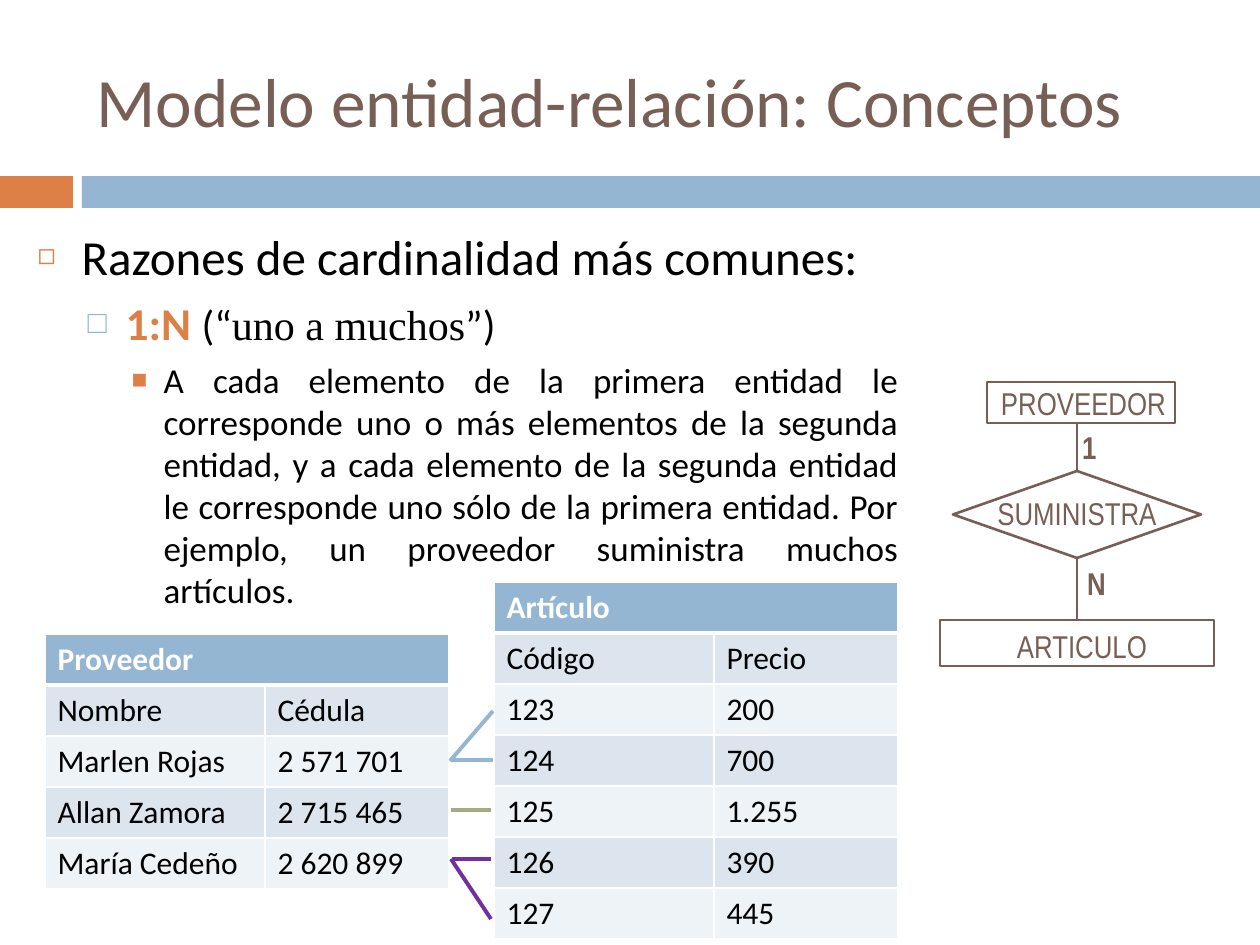
"""Build the slide on 1:N cardinality: definition, sample tables and ER diagram."""
from lxml import etree
from pptx import Presentation, util as u
from pptx.dml.color import RGBColor
from pptx.enum import shapes, text
from pptx.oxml.ns import qn

ORANGE = RGBColor(0xDD, 0x80, 0x47)
BLUE = RGBColor(0x94, 0xB6, 0xD2)
GREEN = RGBColor(0xA5, 0xAB, 0x81)
PURPLE = RGBColor(0x70, 0x30, 0xA0)
BROWN = RGBColor(0x77, 0x5F, 0x55)
BLACK = RGBColor(0, 0, 0)
WHITE = RGBColor(0xFF, 0xFF, 0xFF)
BANDS = [RGBColor(0xDC, 0xE5, 0xEE), RGBColor(0xEE, 0xF3, 0xF7)]

EMU_PER_PX = 914400 / 126
BODY_FONT, SERIF, DIAGRAM_FONT = "Calibri", "Times New Roman", "Arial Narrow"
COLS, ROW_H = (220, 184), 51

TITLE = "Modelo entidad-relación: Conceptos"
BARS = [((0, 176, 73, 32), ORANGE), ((82, 176, 1178, 32), BLUE)]

# margin, hanging indent, space before, bullet, bullet colour, bullet %, runs
BODY = [
    (44, 44, 0, "◻", ORANGE, 60,
     [("Razones de cardinalidad más comunes:", 28, BODY_FONT, BLACK, False)]),
    (88, 38, 5.5, "□", BLUE, 70,
     [("1:N ", 26, BODY_FONT, ORANGE, True),
      ("(“", 24, BODY_FONT, BLACK, False),
      ("uno a muchos", 24, SERIF, BLACK, False),
      ("”)", 24, BODY_FONT, BLACK, False)]),
    (126, 32, 5, "■", ORANGE, 75,
     [("A cada elemento de la primera entidad le corresponde uno o más "
       "elementos de la segunda entidad, y a cada elemento de la segunda "
       "entidad le corresponde uno sólo de la primera entidad. Por ejemplo, "
       "un proveedor suministra muchos artículos.", 20, BODY_FONT, BLACK, False)]),
]

TABLES = [
    (45, 634, "Proveedor", [
        ("Nombre", "Cédula"), ("Marlen Rojas", "2 571 701"),
        ("Allan Zamora", "2 715 465"), ("María Cedeño", "2 620 899")]),
    (494, 582, "Artículo", [
        ("Código", "Precio"), ("123", "200"), ("124", "700"),
        ("125", "1.255"), ("126", "390"), ("127", "445")]),
]

ROW_LINKS = [
    ((452, 760, 493, 760), BLUE), ((451, 810, 491, 810), GREEN),
    ((451, 859, 491, 919), PURPLE), ((450, 761, 493, 711), BLUE),
    ((452, 859, 491, 859), PURPLE),
]

ENTITIES = [
    ("PROVEEDOR", (987, 382, 188, 41), (10, 1, 5, 1)),
    ("ARTICULO", (940, 620, 274, 46), (10, 6, 0, 1)),
]
ER_LINKS = [(1077, 548, 1077, 621), (1077, 475, 1077, 422)]
DIAMOND = (953, 471, 248, 87)
LABELS = [
    ("1", (1082, 422, 58, 45)),
    ("N", (1087, 558, 58, 47)),
]
RELATION = ("SUMINISTRA", (984, 488, 186, 50))


def px(*values):
    return [u.Emu(round(v * EMU_PER_PX)) for v in values]


def sub(parent, tag, **attrs):
    return etree.SubElement(parent, qn(tag), {k: str(v) for k, v in attrs.items()})


def style(font, size, name, color, bold=False):
    font.size, font.name, font.bold = u.Pt(size), name, bold
    font.color.rgb = color


def write(sp, words, inset, align, bold=False, anchor=text.MSO_ANCHOR.TOP, wrap=True):
    tf = sp.text_frame
    tf.word_wrap, tf.vertical_anchor = wrap, anchor
    tf.auto_size = text.MSO_AUTO_SIZE.SHAPE_TO_FIT_TEXT
    tf.margin_left, tf.margin_top, tf.margin_right, tf.margin_bottom = px(*inset)
    p = tf.paragraphs[0]
    p.text, p.alignment = words, align
    style(p.font, 18, DIAGRAM_FONT, BROWN, bold)


def add_shape(s, kind, box, fill=None, line=None):
    sp = s.shapes.add_shape(kind, *px(*box))
    sp.shadow.inherit = False
    if fill is None:
        sp.fill.background()
    else:
        sp.fill.solid()
        sp.fill.fore_color.rgb = fill
    if line is None:
        sp.line.fill.background()
    else:
        sp.line.color.rgb, sp.line.width = line, u.Pt(1.5)
    return sp


def add_line(s, ends, color, width):
    line = s.shapes.add_connector(shapes.MSO_CONNECTOR.STRAIGHT, *px(*ends))
    line.line.color.rgb, line.line.width = color, u.Pt(width)
    sub(line._element.spPr, "a:effectLst")


def fill_title(sp):
    sp.left, sp.top, sp.width, sp.height = px(84, 32, 1124, 136)
    tf = sp.text_frame
    tf.auto_size, tf.vertical_anchor = text.MSO_AUTO_SIZE.NONE, text.MSO_ANCHOR.MIDDLE
    p = tf.paragraphs[0]
    p.text, p.alignment = TITLE, text.PP_ALIGN.LEFT
    style(p.font, 39.6, BODY_FONT, BROWN)


def fill_body(sp):
    sp.left, sp.top, sp.width, sp.height = px(25, 220, 886, 679)
    tf = sp.text_frame
    tf.auto_size = text.MSO_AUTO_SIZE.NONE
    for level, (margin, hang, before, mark, color, percent, runs) in enumerate(BODY):
        p = tf.add_paragraph() if level else tf.paragraphs[0]
        p.level, p.alignment = level, text.PP_ALIGN.JUSTIFY
        p.space_before = u.Pt(before)
        pPr = p._p.get_or_add_pPr()
        pPr.set("marL", str(px(margin)[0]))
        pPr.set("indent", str(px(-hang)[0]))
        sub(sub(pPr, "a:buClr"), "a:srgbClr", val=color)
        sub(pPr, "a:buSzPct", val=percent * 1000)
        sub(pPr, "a:buFont", typeface="Arial")
        sub(pPr, "a:buChar", char=mark)
        for words, *look in runs:
            r = p.add_run()
            r.text = words
            style(r.font, *look)


def format_cell(cell, fill, color, header):
    tcPr = cell._tc.get_or_add_tcPr()
    for side in "LRTB":
        width = 3 if header and side == "B" else 1
        ln = sub(tcPr, f"a:ln{side}", w=u.Pt(width))
        sub(sub(ln, "a:solidFill"), "a:srgbClr", val=WHITE)
    cell.fill.solid()
    cell.fill.fore_color.rgb = fill
    style(cell.text_frame.paragraphs[0].font, 18, BODY_FONT, color, header)


def add_data_table(s, left, top, heading, records):
    rows = [(heading, "")] + records
    box = px(left, top, sum(COLS), ROW_H * len(rows))
    table = s.shapes.add_table(len(rows), len(COLS), *box).table
    for col, width in zip(table.columns, px(*COLS)):
        col.width = width
    for i, row in enumerate(rows):
        for j, value in enumerate(row):
            cell = table.cell(i, j)
            cell.text = value
            fill, color = (BANDS[(i - 1) % 2], BLACK) if i else (BLUE, WHITE)
            format_cell(cell, fill, color, i == 0)
    table.cell(0, 0).merge(table.cell(0, 1))


def main():
    prs = Presentation()
    prs.slide_width, prs.slide_height = px(1260, 945)
    s = prs.slides.add_slide(prs.slide_layouts[1])
    fill_title(s.shapes.title)
    fill_body(s.placeholders[1])
    kinds, align = shapes.MSO_SHAPE, text.PP_ALIGN
    for box, color in BARS:
        add_shape(s, kinds.RECTANGLE, box, fill=color)
    for words, box, inset in ENTITIES:
        sp = add_shape(s, kinds.RECTANGLE, box, line=BROWN)
        write(sp, words, inset, align.CENTER, anchor=text.MSO_ANCHOR.MIDDLE)
    for ends in ER_LINKS:
        add_line(s, ends, BROWN, 1.5)
    add_shape(s, kinds.DIAMOND, DIAMOND, WHITE, BROWN)
    for words, box in LABELS:
        write(s.shapes.add_textbox(*px(*box)), words, (0, 6, 0, 1), align.LEFT, bold=True)
    words, box = RELATION
    write(s.shapes.add_textbox(*px(*box)), words, (13, 6, 13, 6), align.CENTER, wrap=False)
    for table in TABLES:
        add_data_table(s, *table)
    for ends, color in ROW_LINKS:
        add_line(s, ends, color, 2.25)
    prs.save("out.pptx")


if __name__ == "__main__":
    main()
